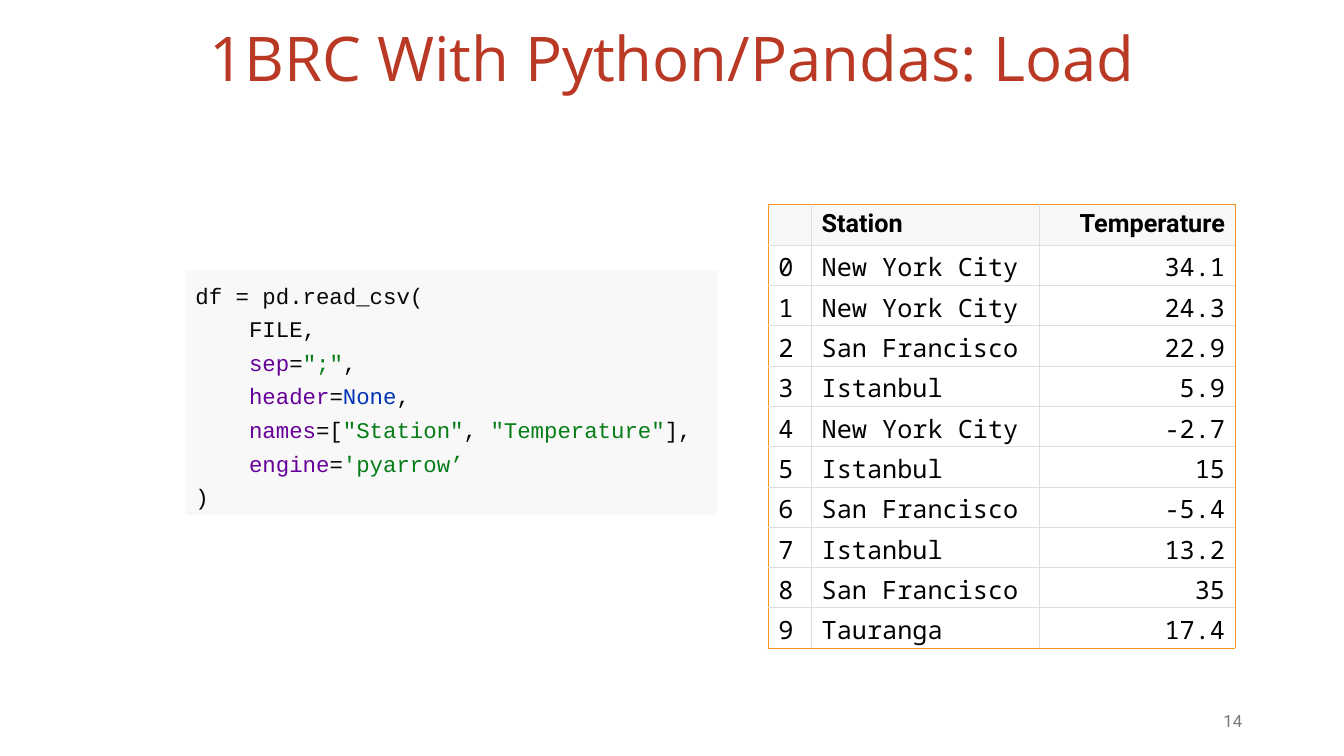
from lxml.etree import SubElement
from pptx import Presentation
from pptx.dml.color import RGBColor
from pptx.enum.shapes import MSO_SHAPE
from pptx.enum.text import MSO_ANCHOR, PP_ALIGN
from pptx.oxml.ns import qn
from pptx.util import Inches, Pt

COLORS = {
    "title": "BA3925", "number": "797979", "black": "000000", "white": "FFFFFF",
    "header": "F7F8F7", "frame": "F7941E", "grid": "DEDEDE", "code_panel": "F8F8F8",
    "plain": "080808", "argument": "660099", "string": "067D17", "keyword": "0033B3",
}
TITLE = "1BRC With Python/Pandas: Load"
SLIDE_NUMBER = "14"
CODE_LINES = [
    [("df = pd.read_csv(", "plain")],
    [("    FILE,", "plain")],
    [("    ", "plain"), ("sep", "argument"), ("=", "plain"), ('";"', "string"), (",", "plain")],
    [("    ", "plain"), ("header", "argument"), ("=", "plain"), ("None", "keyword"), (",", "plain")],
    [("    ", "plain"), ("names", "argument"), ("=[", "plain"), ('"Station"', "string"),
     (", ", "plain"), ('"Temperature"', "string"), ("],", "plain")],
    [("    ", "plain"), ("engine", "argument"), ("=", "plain"), ("'pyarrow’", "string")],
    [(")", "plain")],
]
HEADER = ("", "Station", "Temperature")
READINGS = [
    ("New York City", "34.1"), ("New York City", "24.3"), ("San Francisco", "22.9"),
    ("Istanbul", "5.9"), ("New York City", "-2.7"), ("Istanbul", "15"),
    ("San Francisco", "-5.4"), ("Istanbul", "13.2"), ("San Francisco", "35"),
    ("Tauranga", "17.4"),
]
COLUMN_WIDTHS = (0.43, 2.26, 1.94)
COLUMN_ALIGNMENTS = (PP_ALIGN.JUSTIFY, PP_ALIGN.LEFT, PP_ALIGN.RIGHT)
ROW_HEIGHT = 0.4
FONTS = {
    "title": {"name": "Open Sans", "size": Pt(44)},
    "number": {"name": "Roboto", "size": Pt(12)},
    "code": {"name": "Courier New", "size": Pt(16)},
    "header": {"name": "Roboto", "size": Pt(18), "bold": True},
    "body": {"name": "Noto Sans Mono", "size": Pt(18), "bold": False},
}
CELL_FORMAT = {
    "margin_left": Inches(0.1), "margin_right": Inches(0.1),
    "margin_top": Inches(0.05), "margin_bottom": 0, "vertical_anchor": MSO_ANCHOR.TOP,
}


def set_attributes(target, values):
    for name, value in values.items():
        setattr(target, name, value)


def rgb(color):
    return RGBColor.from_string(COLORS[color])


def place(shape, *box):
    set_attributes(shape, dict(zip(("left", "top", "width", "height"), map(Inches, box))))


def add_run(paragraph, text, font, color):
    run = paragraph.add_run()
    run.text = text
    set_attributes(run.font, FONTS[font])
    run.font.color.rgb = rgb(color)


def set_borders(cell, outer_sides):
    """Draw the sides on the table's edge in the frame colour, the others as grid."""
    properties = cell._tc.get_or_add_tcPr()
    for position, side in enumerate("LRTB"):
        color, width = ("frame", 0.5) if side in outer_sides else ("grid", 0.6)
        line = SubElement(properties, qn(f"a:ln{side}"), w=str(Pt(width)))
        fill = SubElement(line, qn("a:solidFill"))
        SubElement(fill, qn("a:srgbClr"), val=COLORS[color])
        properties.insert(position, line)


def add_title(slide):
    title = slide.shapes.title
    place(title, 0.92, 0.19, 11.5, 0.85)
    title.text_frame.vertical_anchor = MSO_ANCHOR.MIDDLE
    paragraph = title.text_frame.paragraphs[0]
    set_attributes(paragraph, {"alignment": PP_ALIGN.CENTER, "line_spacing": 0.9})
    add_run(paragraph, TITLE, "title", "title")


def add_slide_number(slide):
    box = slide.shapes.add_textbox(*map(Inches, (9.42, 6.95, 3, 0.4)))
    set_attributes(box.text_frame, {"word_wrap": True, "vertical_anchor": MSO_ANCHOR.MIDDLE})
    paragraph = box.text_frame.paragraphs[0]
    paragraph.alignment = PP_ALIGN.RIGHT
    add_run(paragraph, SLIDE_NUMBER, "number", "number")


def add_code(slide):
    panel = slide.shapes.add_shape(MSO_SHAPE.RECTANGLE, *map(Inches, (1.84, 2.68, 5.28, 2.43)))
    panel.shadow.inherit = False
    panel.fill.solid()
    panel.fill.fore_color.rgb = rgb("code_panel")
    panel.line.fill.background()
    frame = panel.text_frame
    set_attributes(frame, {"word_wrap": True, "vertical_anchor": MSO_ANCHOR.TOP})
    for index, line in enumerate(CODE_LINES):
        paragraph = frame.add_paragraph() if index else frame.paragraphs[0]
        set_attributes(paragraph, {"alignment": PP_ALIGN.LEFT, "line_spacing": 1.25})
        for text, role in line:
            add_run(paragraph, text, "code", role)


def add_readings(slide):
    rows = [HEADER] + [(str(index), *reading) for index, reading in enumerate(READINGS)]
    last_row, last_column = len(rows) - 1, len(HEADER) - 1
    box = (7.62, 2.03, sum(COLUMN_WIDTHS), ROW_HEIGHT * len(rows))
    table = slide.shapes.add_table(len(rows), len(HEADER), *map(Inches, box)).table
    set_attributes(table, {"first_row": False, "horz_banding": False})
    for column, width in zip(table.columns, COLUMN_WIDTHS):
        column.width = Inches(width)
    for row_index, row in enumerate(rows):
        style, fill = ("body", "white") if row_index else ("header", "header")
        for column_index, text in enumerate(row):
            cell = table.cell(row_index, column_index)
            set_attributes(cell, CELL_FORMAT)
            cell.fill.solid()
            cell.fill.fore_color.rgb = rgb(fill)
            edges = {"L": column_index == 0, "R": column_index == last_column,
                     "T": row_index == 0, "B": row_index == last_row}
            set_borders(cell, [side for side, outer in edges.items() if outer])
            paragraph = cell.text_frame.paragraphs[0]
            paragraph.alignment = COLUMN_ALIGNMENTS[column_index]
            if text:
                add_run(paragraph, text, style, "black")
            else:
                paragraph.font.size = FONTS[style]["size"]


def main():
    presentation = Presentation()
    set_attributes(presentation, {"slide_width": Inches(13.33), "slide_height": Inches(7.5)})
    slide = presentation.slides.add_slide(presentation.slide_layouts.get_by_name("Title Only"))
    add_title(slide)
    add_slide_number(slide)
    add_code(slide)
    add_readings(slide)
    presentation.save("out.pptx")


if __name__ == "__main__":
    main()
